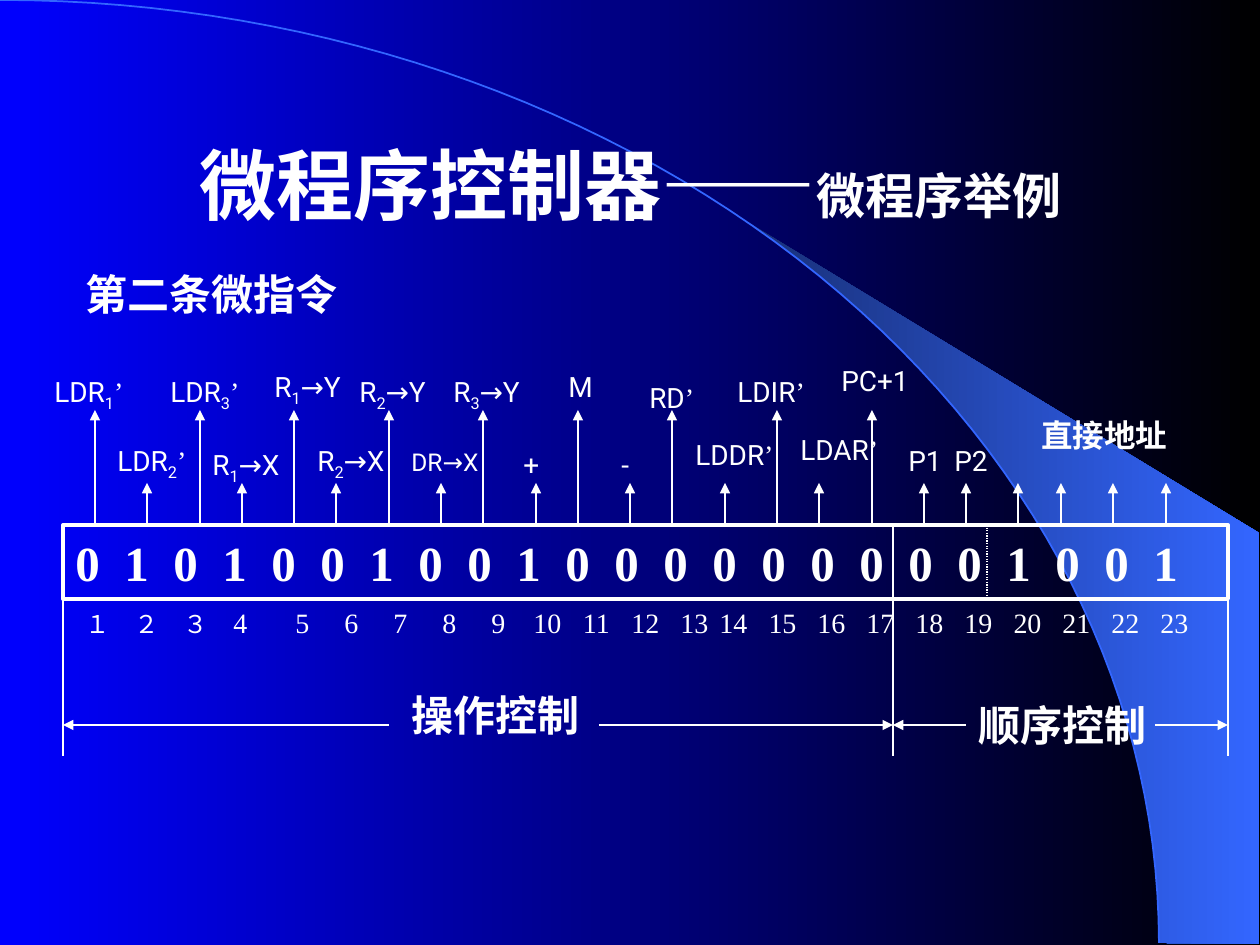
import math

from lxml import etree
from pptx import Presentation
from pptx import util as u
from pptx.dml.color import RGBColor
from pptx.enum import dml, shapes, text
from pptx.oxml import ns

SCALE = 914400 / 126
COLORS = {
    "white": "FFFFFF",
    "blue": "0000FF",
    "black": "000000",
    "navy": "182F76",
    "arc": "3366FF",
}
BODY, HEADING, SERIF = "Roboto", "Arial", "Times New Roman"


def px(length):
    return u.Emu(round(length * SCALE))


def color(name):
    return RGBColor.from_string(COLORS[name])


def ellipse(start, end, steps=60):
    angles = [start + (end - start) * step / steps for step in range(steps + 1)]
    return [(1159 * math.sin(a), 943 * (1 - math.cos(a))) for a in angles]


class SlideBuilder:
    def __init__(self, slide):
        self.slide = slide

    def gradient(self, fill, first, last):
        fill.gradient()
        fill.gradient_angle = 0
        for stop, name, position in zip(fill.gradient_stops, (first, last), (0, 1)):
            stop.color.rgb = color(name)
            stop.position = position

    def outline(self, points, closed):
        (x, y), *rest = [(px(x), px(y)) for x, y in points]
        builder = self.slide.shapes.build_freeform(x, y)
        builder.add_line_segments(rest, close=closed)
        shape = builder.convert_to_shape()
        shape.shadow.inherit = False
        return shape

    def runs(self, paragraph, parts):
        for words, size, font, bold, baseline in parts:
            run = paragraph.add_run()
            run.text = words
            run.font.size = u.Pt(size)
            run.font.name = font
            run.font.bold = bold
            run.font.color.rgb = color("white")
            if baseline:
                run.font._element.set("baseline", str(baseline * 1000))

    def tabs(self, paragraph, positions, align):
        properties = paragraph._p.get_or_add_pPr()
        tab_list = etree.SubElement(properties, ns.qn("a:tabLst"))
        for position in positions:
            etree.SubElement(tab_list, ns.qn("a:tab"), pos=str(px(position)), algn=align)

    def title(self, box, parts):
        shape = self.slide.shapes.title
        shape.left, shape.top, shape.width, shape.height = map(px, box)
        frame = shape.text_frame
        frame.auto_size = text.MSO_AUTO_SIZE.NONE
        frame.vertical_anchor = text.MSO_ANCHOR.MIDDLE
        paragraph = frame.paragraphs[0]
        paragraph.alignment = text.PP_ALIGN.CENTER
        self.runs(paragraph, parts)
        self.slide.shapes._spTree.append(shape._element)

    def text(self, box, parts, tabs=()):
        frame = self.slide.shapes.add_textbox(*map(px, box)).text_frame
        frame.word_wrap = True
        frame.auto_size = text.MSO_AUTO_SIZE.SHAPE_TO_FIT_TEXT
        paragraph = frame.paragraphs[0]
        if tabs:
            self.tabs(paragraph, tabs, "ctr")
        self.runs(paragraph, parts)

    def heading(self, box, words, size=24):
        self.text(box, [(words, size, BODY, True, 0)])

    def signal(self, left, top, stem, subscript="", ending="", size=16):
        ending_font = SERIF if ending == "’" else BODY
        parts = [
            (stem, size, BODY, False, 0),
            (subscript, size, BODY, False, -25),
            (ending, size, ending_font, False, 0),
        ]
        self.text((left, top, 116, 47), [part for part in parts if part[0]])

    def register(self, box, bits, pitch):
        shape = self.slide.shapes.add_shape(shapes.MSO_SHAPE.RECTANGLE, *map(px, box))
        shape.shadow.inherit = False
        shape.fill.background()
        shape.line.color.rgb = color("white")
        shape.line.width = u.Pt(2.25)
        frame = shape.text_frame
        frame.vertical_anchor = text.MSO_ANCHOR.MIDDLE
        paragraph = frame.paragraphs[0]
        paragraph.alignment = text.PP_ALIGN.LEFT
        self.tabs(paragraph, [pitch * i for i in range(1, len(bits))], "l")
        self.runs(paragraph, [("\t".join(bits), 28, SERIF, True, 0)])

    def line(self, x1, y1, x2, y2, width=0.75, arrow=False, dotted=False):
        connector = self.slide.shapes.add_connector(
            shapes.MSO_CONNECTOR.STRAIGHT, *map(px, (x1, y1, x2, y2)))
        connector.line.color.rgb = color("white")
        connector.line.width = u.Pt(width)
        if dotted:
            connector.line.dash_style = dml.MSO_LINE.ROUND_DOT
        if arrow:
            line = connector.line._get_or_add_ln()
            etree.SubElement(line, ns.qn("a:tailEnd"), type="triangle")
        etree.SubElement(connector._element.spPr, ns.qn("a:effectLst"))


def add_backdrop(builder):
    builder.gradient(builder.slide.background.fill, "blue", "black")
    beam_points = ellipse(math.asin(742 / 1159), math.pi / 2) + [(1259, 944), (1259, 533)]
    beam = builder.outline(beam_points, True)
    builder.gradient(beam.fill, "navy", "arc")
    beam.line.fill.background()
    arc = builder.outline(ellipse(0, math.pi / 2), False)
    arc.fill.background()
    arc.line.color.rgb = color("arc")
    arc.line.width = u.Pt(1)


def add_signals(builder):
    for x in (95, 200, 294, 389, 483, 578, 672, 777, 872):
        builder.line(x, 525, x, 410, arrow=True)
    for x in (147, 242, 336, 441, 536, 630, 725, 819, 924, 966, 1018, 1061, 1113, 1166):
        builder.line(x, 525, x, 483, arrow=True)
    for signal in (
        (42, 368, "LDR", "1", "’"),
        (105, 437, "LDR", "2", "’"),
        (158, 368, "LDR", "3", "’"),
        (200, 441, "R", "1", "→X"),
        (262, 363, "R", "1", "→Y"),
        (305, 437, "R", "2", "→X"),
        (347, 368, "R", "2", "→Y"),
        (399, 441, "DR→X", "", "", 14),
        (441, 368, "R", "3", "→Y"),
        (511, 441, "+"),
        (556, 363, "M"),
        (609, 441, "-"),
        (637, 374, "RD", "", "’"),
        (683, 431, "LDDR", "", "’"),
        (725, 368, "LDIR", "", "’"),
        (788, 426, "LDAR", "", "’"),
        (829, 357, "PC+1"),
        (896, 437, "P1"),
        (942, 437, "P2"),
    ):
        builder.signal(*signal)
    builder.heading((1029, 410, 168, 50), "直接地址", 18)


def add_register(builder):
    pitch = 49
    builder.register((63, 525, 1165, 74), "01010010010000000001001", pitch)
    centers = [61, 110, 155]
    centers += [217 + pitch * i for i in range(9)]
    centers += [648 + pitch * i for i in range(10)]
    builder.text((73, 599, 1155, 47), [
        ("１\t２\t３", 14, SERIF, False, 0),
        ("".join(f"\t{number}" for number in range(4, 24)), 16, SERIF, False, 0),
    ], centers)
    builder.line(987, 525, 987, 599, dotted=True)
    builder.line(893, 525, 893, 599, width=1)


def add_fields(builder):
    for x in (63, 893, 1228):
        builder.line(x, 599, x, 756)
    for start, end in ((389, 63), (599, 893), (966, 893), (1155, 1228)):
        builder.line(start, 725, end, 725, arrow=True)
    builder.heading((399, 683, 284, 63), "操作控制")
    builder.heading((966, 693, 210, 63), "顺序控制")


def main():
    presentation = Presentation()
    presentation.slide_width, presentation.slide_height = px(1260), px(945)
    builder = SlideBuilder(presentation.slides.add_slide(presentation.slide_layouts[5]))
    add_backdrop(builder)
    builder.title((95, 126, 1071, 116), [
        ("微程序控制器——", 44, HEADING, True, 0),
        ("微程序举例", 28, HEADING, True, 0),
    ])
    builder.heading((73, 262, 315, 63), "第二条微指令")
    add_register(builder)
    add_signals(builder)
    add_fields(builder)
    presentation.save("out.pptx")


if __name__ == "__main__":
    main()
